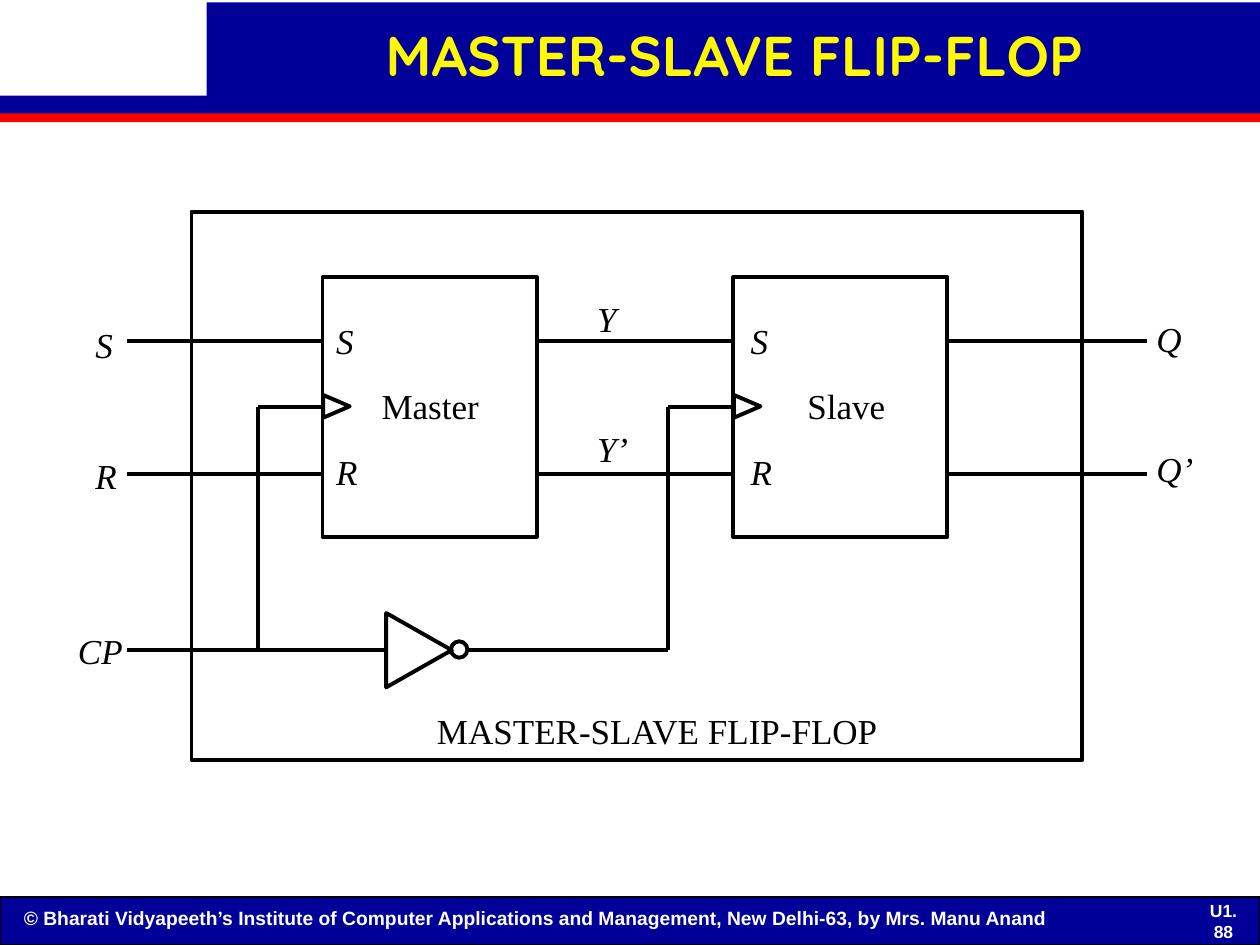
from dataclasses import dataclass

from lxml import etree
from pptx import Presentation, util as u
from pptx.dml.color import RGBColor
from pptx.enum import shapes, text
from pptx.oxml import ns


@dataclass(frozen=True)
class Theme:
    navy: str = "000099"
    red: str = "FF0000"
    yellow: str = "FEF800"
    white: str = "FFFFFF"
    ink: str = "000000"
    title_font: str = "Quicksand"
    footer_font: str = "Arial"
    label_font: str = "Times New Roman"
    title_size: int = 32
    label_size: int = 20
    footer_size: int = 11
    number_size: int = 10
    stroke: float = 2.25


THEME = Theme()
WIDTH, HEIGHT = 10, 7.5

TITLE = "MASTER-SLAVE FLIP-FLOP"
COPYRIGHT = ("© Bharati Vidyapeeth’s Institute of Computer Applications and "
             "Management, New Delhi-63, by Mrs. Manu Anand")
PAGE_NUMBER = "U1. 88"

# Columns and rows of the circuit, in inches
COLS = {"input": 1.01, "frame": 1.52, "tap": 2.05, "master": 2.56,
        "inverter": 3.07, "bubble": 3.58, "bubble end": 3.72,
        "master end": 4.26, "feed": 5.3, "slave": 5.82,
        "slave end": 7.52, "output": 9.1}
ROWS = {"frame": 1.68, "stage": 2.2, "set": 2.71, "clock": 3.23,
        "reset": 3.76, "inverter": 5.16}
STAGE_HEIGHT = 2.06
FRAME_SIZE = (7.07, 4.35)

STAGES = [("master", "Master", 2.93), ("slave", "Slave", 6.31)]
SIGNAL_SPANS = [("input", "master"), ("master end", "slave"),
                ("slave end", "output")]
CLOCK_WIRES = [
    (("input", "inverter"), ("inverter", "inverter")),
    (("tap", "inverter"), ("tap", "clock")),
    (("tap", "clock"), ("master", "clock")),
    (("bubble end", "inverter"), ("feed", "inverter")),
    (("feed", "inverter"), ("feed", "clock")),
    (("feed", "clock"), ("slave", "clock")),
]
# Upper and lower signal names, left, top
SIGNAL_PAIRS = [
    (("S", "R"), 0.66, 2.52),
    (("S", "R"), 2.57, 2.49),
    (("S", "R"), 5.86, 2.49),
    (("Y", "Y’"), 4.64, 2.31),
    (("Q", "Q’"), 9.08, 2.47),
]
PAIR_GAP = 50.5


def rgb(value):
    return RGBColor.from_string(value)


def add_outline(page, kind, left, top, width, height, fill=None, line=None,
                weight=THEME.stroke, rotation=0):
    shape = page.shapes.add_shape(kind, *map(u.Inches, (left, top, width, height)))
    shape.shadow.inherit = False
    shape.rotation = rotation
    if fill:
        shape.fill.solid()
        shape.fill.fore_color.rgb = rgb(fill)
    else:
        shape.fill.background()
    if line:
        shape.line.color.rgb = rgb(line)
        shape.line.width = u.Pt(weight)
    else:
        shape.line.fill.background()
    return shape


def add_wire(page, start, end):
    wire = page.shapes.add_connector(
        shapes.MSO_CONNECTOR.STRAIGHT, *map(u.Inches, (*start, *end)))
    wire.line.color.rgb = rgb(THEME.ink)
    wire.line.width = u.Pt(THEME.stroke)
    etree.SubElement(wire._element.spPr, ns.qn("a:effectLst"))


def write(frame, lines, font=THEME.label_font, size=THEME.label_size,
          color=THEME.ink, bold=False, italic=False, gap=0, align=None,
          anchor=text.MSO_ANCHOR.TOP, wrap=False):
    """Fill a text frame, leaving gap points between its paragraphs."""
    frame.word_wrap = wrap
    frame.vertical_anchor = anchor
    for index, line in enumerate(lines):
        para = frame.add_paragraph() if index else frame.paragraphs[0]
        para.alignment = align
        if index:
            para.space_before = u.Pt(gap)
        span = para.add_run()
        span.text = line
        span.font.name = font
        span.font.size = u.Pt(size)
        span.font.bold = bold
        span.font.italic = italic
        span.font.color.rgb = rgb(color)


def add_label(page, lines, left, top, width, height, **style):
    box = page.shapes.add_textbox(*map(u.Inches, (left, top, width, height)))
    write(box.text_frame, lines, **style)


def add_banner(page):
    rect = shapes.MSO_SHAPE.RECTANGLE
    add_outline(page, rect, 0, 0.76, WIDTH, 0.16, fill=THEME.navy)
    add_outline(page, rect, 0, 0.9, WIDTH, 0.07, fill=THEME.red)
    add_outline(page, rect, 1.64, 0.02, WIDTH - 1.64, 0.8, fill=THEME.navy)
    title = page.shapes.title
    title.left, title.top, title.width, title.height = map(
        u.Inches, (1.63, 0.07, 8.4, 0.8))
    frame = title.text_frame
    frame.margin_left = frame.margin_right = u.Inches(0.07)
    frame.margin_top = frame.margin_bottom = u.Inches(0.03)
    write(frame, [TITLE], font=THEME.title_font, size=THEME.title_size,
          color=THEME.yellow, bold=True, align=text.PP_ALIGN.CENTER,
          anchor=text.MSO_ANCHOR.MIDDLE, wrap=True)
    frame.paragraphs[0].line_spacing = 0.88


def add_footer(page):
    add_outline(page, shapes.MSO_SHAPE.RECTANGLE, 0, HEIGHT - 0.38, WIDTH, 0.38,
                fill=THEME.navy, line=THEME.ink, weight=0.75)
    style = dict(font=THEME.footer_font, color=THEME.white, bold=True, wrap=True)
    add_label(page, [COPYRIGHT], 0.09, 7.14, 9.18, 0.29,
              size=THEME.footer_size, **style)
    add_label(page, [PAGE_NUMBER], 9.45, 7.19, 0.52, 0.24,
              size=THEME.number_size, align=text.PP_ALIGN.CENTER,
              anchor=text.MSO_ANCHOR.MIDDLE, **style)


def add_circuit(page):
    kinds = shapes.MSO_SHAPE
    add_outline(page, kinds.RECTANGLE, COLS["frame"], ROWS["frame"],
                *FRAME_SIZE, line=THEME.ink)
    for column, name, name_left in STAGES:
        left = COLS[column]
        add_outline(page, kinds.RECTANGLE, left, ROWS["stage"],
                    COLS["master end"] - COLS["master"], STAGE_HEIGHT,
                    line=THEME.ink)
        add_outline(page, kinds.ISOSCELES_TRIANGLE, left + 0.02,
                    ROWS["clock"] - 0.11, 0.18, 0.21, line=THEME.ink, rotation=90)
        add_label(page, [name], name_left, 3, 0.97, 0.44)

    for start, end in SIGNAL_SPANS:
        for row in ("set", "reset"):
            add_wire(page, (COLS[start], ROWS[row]), (COLS[end], ROWS[row]))
    for ends in CLOCK_WIRES:
        add_wire(page, *((COLS[column], ROWS[row]) for column, row in ends))

    add_outline(page, kinds.ISOSCELES_TRIANGLE, COLS["inverter"] - 0.04,
                ROWS["inverter"] - 0.26, 0.59, 0.52, line=THEME.ink, rotation=90)
    add_outline(page, kinds.OVAL, COLS["bubble"], ROWS["inverter"] - 0.07,
                0.13, 0.13, line=THEME.ink)

    for names, left, top in SIGNAL_PAIRS:
        add_label(page, names, left, top, 0.6, 1.47, italic=True, gap=PAIR_GAP)
    add_label(page, ["CP"], 0.52, 4.95, 0.75, 0.44, italic=True, wrap=True)
    add_label(page, [TITLE], 3.37, 5.58, 3.8, 0.44)


def main():
    deck = Presentation()
    deck.slide_width, deck.slide_height = u.Inches(WIDTH), u.Inches(HEIGHT)
    page = deck.slides.add_slide(deck.slide_layouts[5])
    add_banner(page)
    # Bring the title in front of its banner
    page.shapes._spTree.append(page.shapes.title._element)
    add_circuit(page)
    add_footer(page)
    deck.save("out.pptx")


if __name__ == "__main__":
    main()
